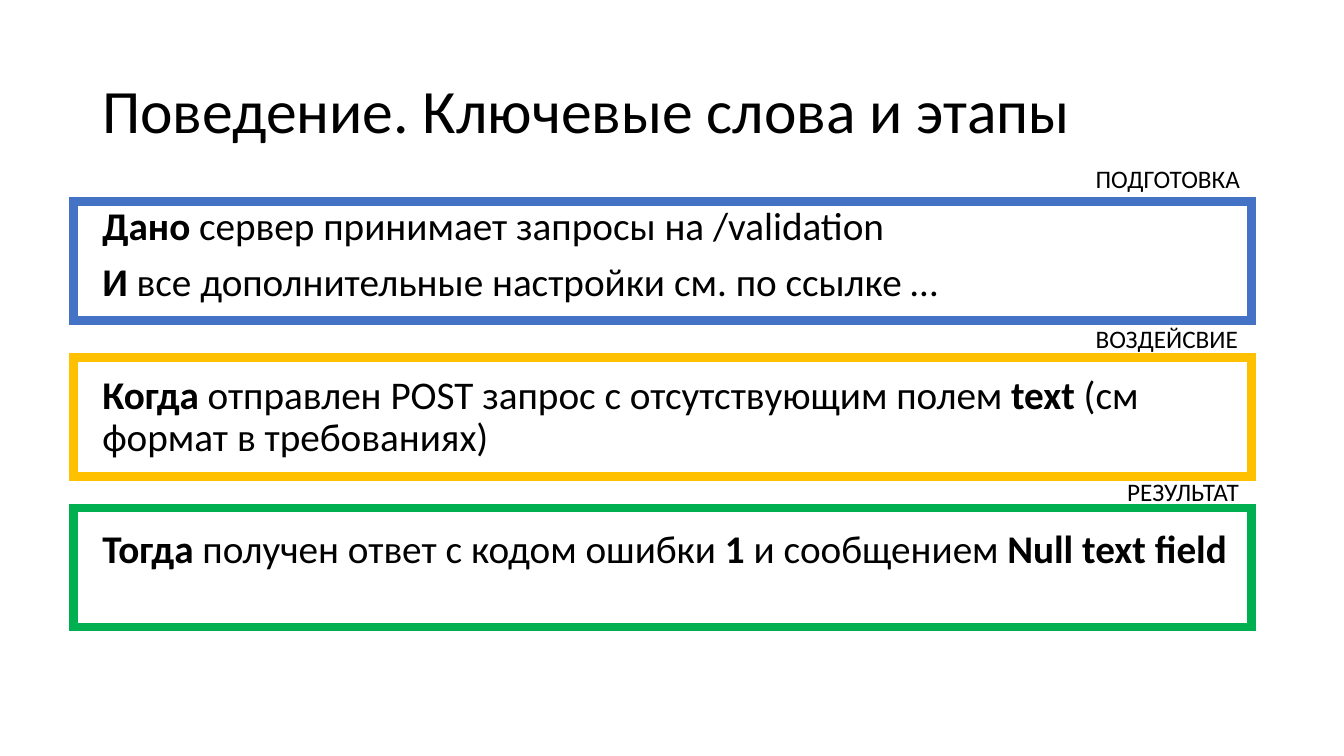
"""Build a slide on the keywords and stages of a behaviour scenario."""
from dataclasses import dataclass

from lxml import etree
from pptx import Presentation
from pptx import util as u
from pptx.dml.color import RGBColor
from pptx.enum import shapes, text
from pptx.oxml import ns
from pptx.slide import Slide

COLORS = {
    "text": "000000",
    "preparation": "4472C4",
    "action": "FFC000",
    "result": "00B050",
}
FONT = "Calibri"
MARGIN = 66
CONTENT_WIDTH = 828
FRAME_LEFT = 52.5
FRAME_WIDTH = 841.5
FRAME_HEIGHT = 85
LABEL_HEIGHT = 29


@dataclass(frozen=True)
class Span:
    content: str
    bold: bool = False


@dataclass(frozen=True)
class Line:
    spans: tuple[Span, ...]
    space_before: float = 0
    line_spacing: float = 0.9


@dataclass(frozen=True)
class Stage:
    label: str
    color: str
    frame_top: float
    label_left: float
    label_top: float
    label_width: float


STAGES = (
    Stage("ПОДГОТОВКА", "preparation", 144, 775.5, 113, 119),
    Stage("ВОЗДЕЙСВИЕ", "action", 255.5, 775.5, 227.5, 117),
    Stage("РЕЗУЛЬТАТ", "result", 363, 798, 337, 95),
)

STEPS = (
    Line((Span("Дано", True), Span(" сервер принимает запросы на /validation")), 10),
    Line((Span("И", True), Span(" все дополнительные настройки см. по ссылке …")), 10),
    Line((
        Span("Когда", True),
        Span(" отправлен POST запрос с отсутствующим полем "),
        Span("text", True),
        Span(" (см формат в требованиях)"),
    ), 50),
    Line((
        Span("Тогда", True),
        Span(" получен ответ с кодом ошибки "),
        Span("1", True),
        Span(" и сообщением "),
        Span("Null text field", True),
    ), 50),
)


def color(name: str) -> RGBColor:
    """Return the named colour."""
    return RGBColor.from_string(COLORS[name])


def add_text(page: Slide, lines: tuple[Line, ...], left: float, top: float,
             width: float, height: float, size: float,
             anchor: text.MSO_ANCHOR = text.MSO_ANCHOR.TOP, wrap: bool = True) -> None:
    """Add a text box, run by run."""
    box = page.shapes.add_textbox(u.Pt(left), u.Pt(top), u.Pt(width), u.Pt(height))
    frame = box.text_frame
    frame.word_wrap = wrap
    frame.vertical_anchor = anchor
    for index, line in enumerate(lines):
        para = frame.add_paragraph() if index else frame.paragraphs[0]
        para.line_spacing = line.line_spacing
        para.space_before = u.Pt(line.space_before)
        for span in line.spans:
            run = para.add_run()
            run.text = span.content
            run.font.name = FONT
            run.font.size = u.Pt(size)
            run.font.bold = span.bold
            run.font.color.rgb = color("text")


def add_frame(page: Slide, stage: Stage) -> None:
    """Add the sharp-cornered outline of a stage."""
    box = page.shapes.add_shape(
        shapes.MSO_SHAPE.RECTANGLE, u.Pt(FRAME_LEFT), u.Pt(stage.frame_top),
        u.Pt(FRAME_WIDTH), u.Pt(FRAME_HEIGHT))
    box.shadow.inherit = False
    box.fill.background()
    box.line.color.rgb = color(stage.color)
    box.line.width = u.Pt(6)
    outline = box.element.spPr.find(ns.qn("a:ln"))
    etree.SubElement(outline, ns.qn("a:miter")).set("lim", "800000")


def add_label(page: Slide, stage: Stage) -> None:
    """Add the caption above a stage."""
    add_text(page, (Line((Span(stage.label),), line_spacing=1.0),), stage.label_left,
             stage.label_top, stage.label_width, LABEL_HEIGHT, 18, wrap=False)


def main() -> None:
    """Build and save the deck."""
    deck = Presentation()
    deck.slide_width, deck.slide_height = u.Pt(960), u.Pt(540)
    page = deck.slides.add_slide(deck.slide_layouts[6])
    title = Line((Span("Поведение. Ключевые слова и этапы"),))
    add_text(page, (title,), MARGIN, 29, CONTENT_WIDTH, 104, 44, text.MSO_ANCHOR.MIDDLE)
    add_text(page, STEPS, MARGIN, 144, CONTENT_WIDTH, 343, 28)
    for stage in STAGES:
        add_frame(page, stage)
    for stage in STAGES:
        add_label(page, stage)
    deck.save("out.pptx")


main()
